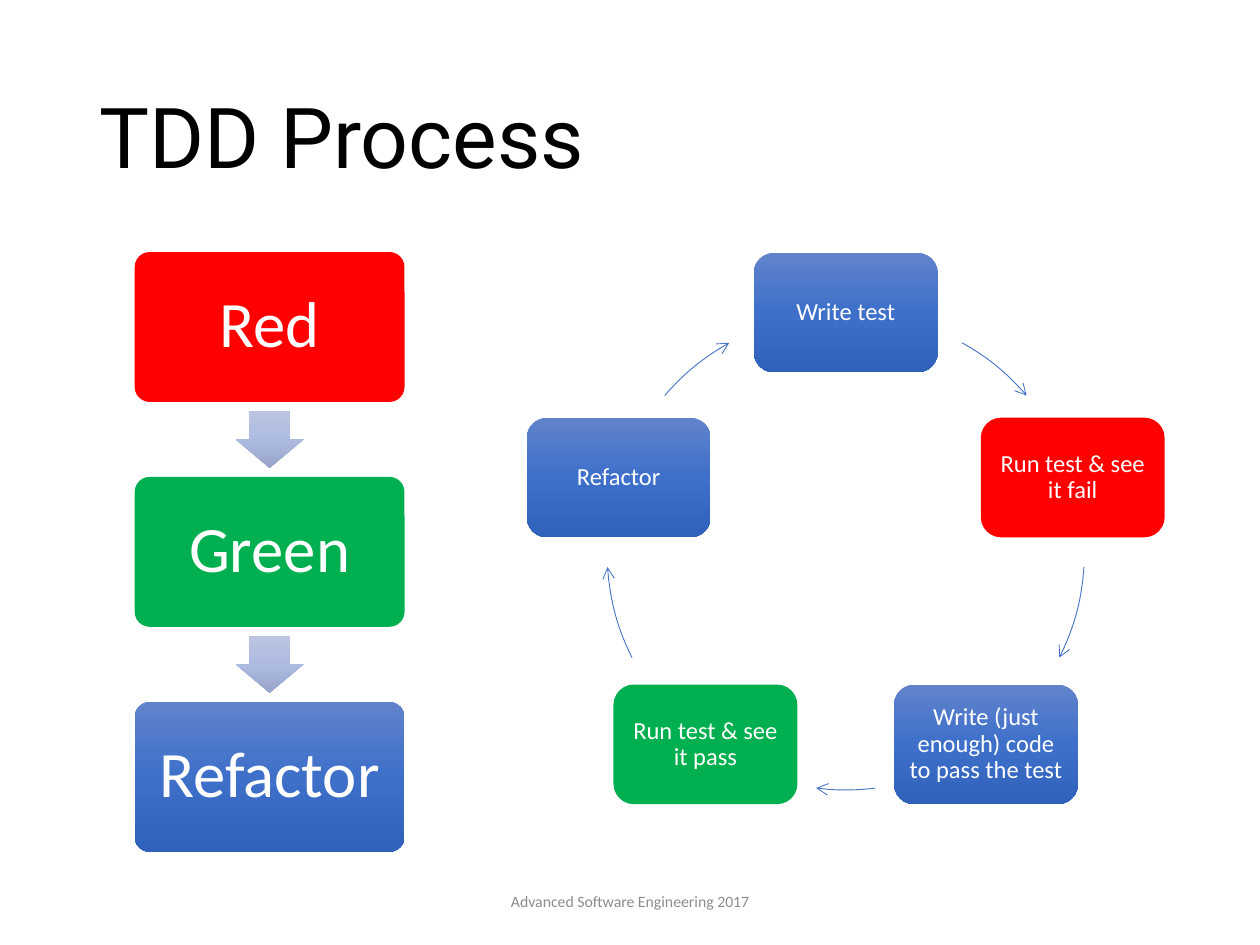
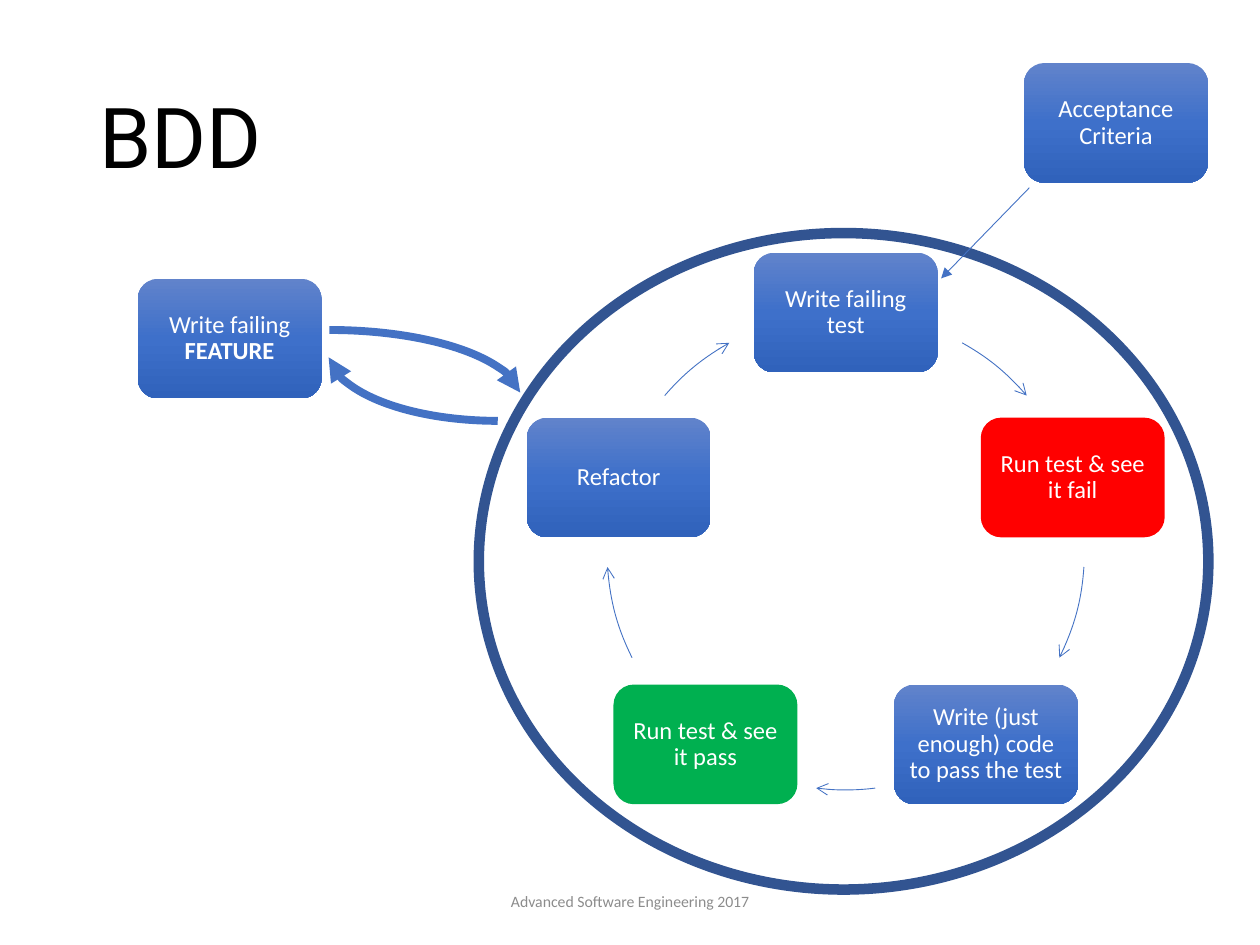
from math import cos, radians, sin

from lxml.etree import SubElement
from pptx import Presentation
from pptx.dml.color import RGBColor
from pptx.enum.shapes import MSO_CONNECTOR as CONN, MSO_SHAPE as SHAPE
from pptx.enum.text import MSO_ANCHOR as ANCHOR, PP_ALIGN as ALIGN
from pptx.oxml.ns import qn
from pptx.util import Pt

# Shared style
RED, GREEN, BLUE, NAVY = "FF0000", "00B050", "4472C4", "325491"
BLACK, WHITE, GREY = "000000", "FFFFFF", "8C8C8C"
BLUE_SHADES = ("6183CB", "3E70CA", "3062BB")
PALE_SHADES = ("BBC5E3", "AEBBE0", "98A4CB")
HEAD_FONT, BODY_FONT = "Roboto", "Calibri"
FOOTER = "Advanced Software Engineering 2017"
BOX_W, BOX_H = 105.1, 68.4

# Cycle: box centres on a circle, with an arc between neighbours
RING_X, RING_Y, RING_R = 483.3, 315, 136.4
ARC_ANGLES = [(299.2, 319.3), (3.8, 26.5), (82.9, 97.1), (153.5, 176.2), (220.7, 240.8)]
CYCLE_STEPS = [
    ("Run test & see it fail", RED),
    ("Write (just enough) code to pass the test", BLUE_SHADES),
    ("Run test & see it pass", GREEN),
    ("Refactor", BLUE_SHADES),
]


def rgb(value):
    return RGBColor.from_string(value)


class Deck:
    def __init__(self):
        self.prs = Presentation()
        self.prs.slide_width, self.prs.slide_height = Pt(720), Pt(540)
        self.s = None

    def slide(self, title):
        self.s = self.prs.slides.add_slide(self.prs.slide_layouts[6])
        self.text(title, 49.7, 28.8, 620.6, 104.4, 48, BLACK, HEAD_FONT, ALIGN.LEFT, 0.9)
        self.text(FOOTER, 238.3, 500.4, 243.4, 28.8, 9, GREY)

    def label(self, sp, text, size, color, font=BODY_FONT, align=ALIGN.CENTER, spacing=1.0, bold=""):
        tf = sp.text_frame
        tf.word_wrap = True
        tf.vertical_anchor = ANCHOR.MIDDLE
        p = tf.paragraphs[0]
        p.text = text
        p.alignment, p.line_spacing = align, spacing
        if bold:
            r = p.add_run()
            r.text = bold
            r.font.bold = True
        for r in p.runs:
            r.font.size, r.font.name = Pt(size), font
            r.font.color.rgb = rgb(color)

    def text(self, text, x, y, w, h, *style):
        self.label(self.s.shapes.add_textbox(Pt(x), Pt(y), Pt(w), Pt(h)), text, *style)

    def shape(self, kind, x, y, w, h, fill=None, line=None, width=0.5, adj=()):
        sp = self.s.shapes.add_shape(kind, Pt(x), Pt(y), Pt(w), Pt(h))
        sp.shadow.inherit = False
        for i, value in enumerate(adj):
            sp.adjustments[i] = value
        if fill is None:
            sp.fill.background()
        elif isinstance(fill, str):
            sp.fill.solid()
            sp.fill.fore_color.rgb = rgb(fill)
        else:
            self.shade(sp, fill)
        if line:
            sp.line.color.rgb = rgb(line)
            sp.line.width = Pt(width)
        else:
            sp.line.fill.background()
        return sp

    def shade(self, sp, colors):
        """Fill top to bottom with evenly spaced colours."""
        sp.fill.gradient()
        sp.fill.gradient_angle = 270
        stops = sp._element.spPr.find(".//" + qn("a:gsLst"))
        for stop in list(stops):
            stops.remove(stop)
        for i, color in enumerate(colors):
            stop = SubElement(stops, qn("a:gs"), pos=str(100000 * i // (len(colors) - 1)))
            SubElement(stop, qn("a:srgbClr"), val=color)

    def box(self, text, x, y, fill=BLUE_SHADES, w=BOX_W, h=BOX_H, size=14, inset=4.3, round_=0.17, bold=""):
        sp = self.shape(SHAPE.ROUNDED_RECTANGLE, x, y, w, h, fill, adj=[round_])
        tf = sp.text_frame
        tf.margin_left = tf.margin_right = tf.margin_top = tf.margin_bottom = Pt(inset)
        self.label(sp, text, size, WHITE, spacing=0.9, bold=bold)

    def head(self, sp, kind):
        SubElement(sp._element.spPr.find(qn("a:ln")), qn("a:tailEnd"), type=kind)

    def arc(self, x, y, w, h, start, end, width=0.5, head="arrow", rotation=0):
        # Arc angles are in 1/60000 degree, adjustments in 1/100000
        sp = self.shape(SHAPE.ARC, x, y, w, h, None, BLUE, width, [start * 0.6, end * 0.6])
        sp.rotation = rotation
        self.head(sp, head)

    def arrow(self, x1, y1, x2, y2):
        sp = self.s.shapes.add_connector(CONN.STRAIGHT, Pt(x1), Pt(y1), Pt(x2), Pt(y2))
        sp.line.color.rgb = rgb(BLUE)
        sp.line.width = Pt(0.5)
        self.head(sp, "triangle")
        SubElement(sp._element.spPr, qn("a:effectLst"))

    def cycle(self, first_step):
        steps = [(first_step, BLUE_SHADES)] + CYCLE_STEPS
        for i, ((text, fill), (start, end)) in enumerate(zip(steps, ARC_ANGLES)):
            angle = radians(360 / len(steps) * i - 90)
            x, y = RING_X + RING_R * cos(angle), RING_Y + RING_R * sin(angle)
            self.box(text, x - BOX_W / 2, y - BOX_H / 2, fill)
            self.arc(RING_X - RING_R, RING_Y - RING_R, 2 * RING_R, 2 * RING_R, start, end)


def tdd_slide(deck):
    deck.slide("TDD Process")
    # Three stacked stages with arrows in the gaps
    x, top, w, h, step = 77, 144, 154.2, 85.7, 128.5
    arrow_w, arrow_h = 38.9, 32.4
    stages = [("Red", RED), ("Green", GREEN), ("Refactor", BLUE_SHADES)]
    for i, (text, fill) in enumerate(stages):
        y = top + i * step
        if i:
            deck.shape(SHAPE.DOWN_ARROW, x + (w - arrow_w) / 2, y - (step - h + arrow_h) / 2,
                       arrow_w, arrow_h, PALE_SHADES, adj=[0.6, 0.5])
        deck.box(text, x, y, fill, w, h, size=37, inset=10.8, round_=0.1)
    deck.cycle("Write test")


def bdd_slide(deck):
    deck.slide("BDD")
    deck.cycle("Write failing test")
    deck.shape(SHAPE.OVAL, 273.6, 133.2, 416.9, 375.1, line=NAVY, width=6)
    # Feature loop
    deck.box("Write failing ", 78.7, 159.3, bold="FEATURE")
    deck.arc(78.5, 188.6, 219.6, 81.4, 270, 357.4, 4.5, "triangle")
    deck.arc(187.2, 159.1, 194.4, 81.4, 270, 357.4, 4.5, "triangle", 180)
    # Acceptance criteria feed the first step
    deck.box("Acceptance Criteria", 585.2, 36)
    deck.arrow(588.2, 107.3, 537.8, 159.1)


def main():
    deck = Deck()
    tdd_slide(deck)
    bdd_slide(deck)
    deck.prs.save("out.pptx")


if __name__ == "__main__":
    main()
